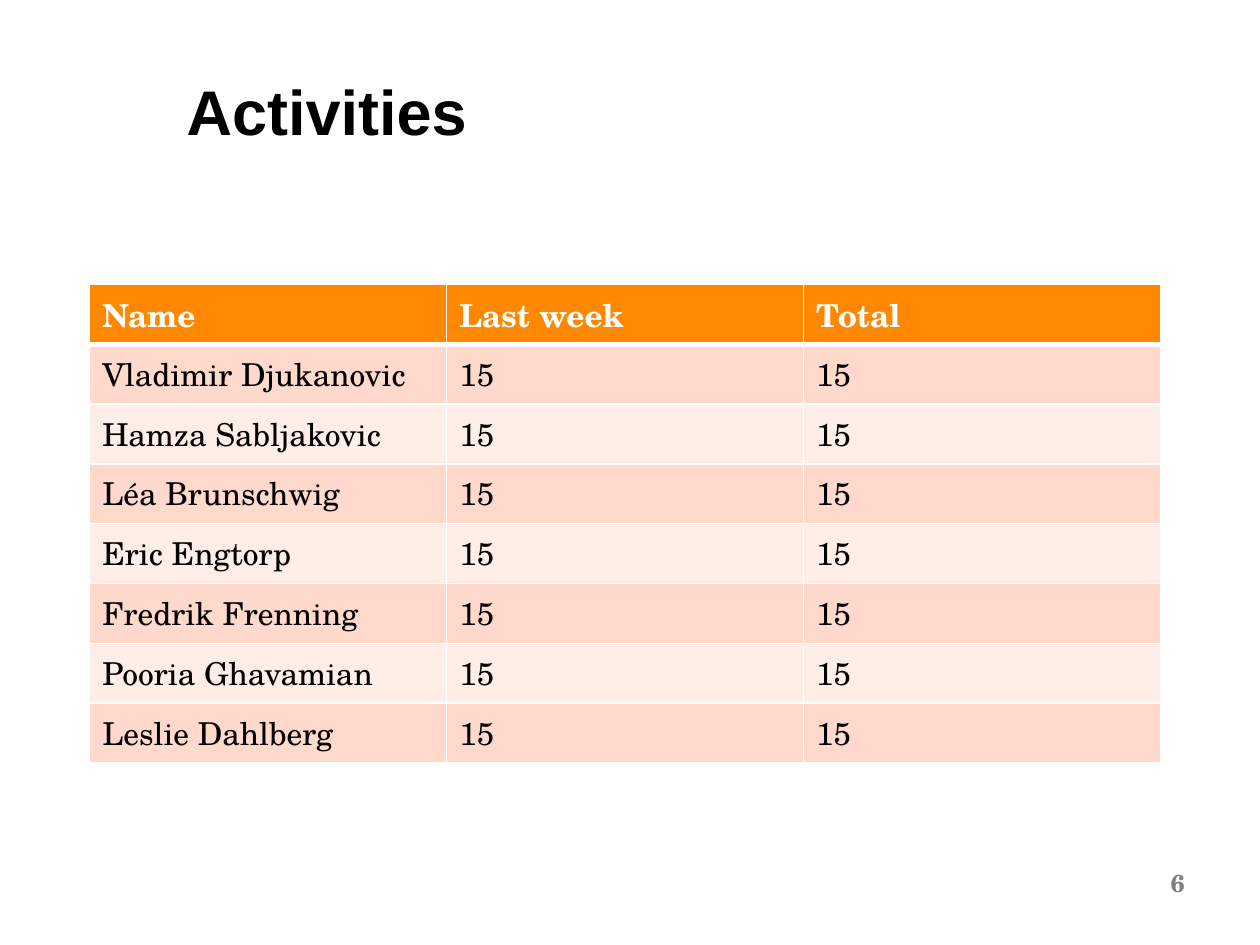
import pptx
import pptx.dml.color
import pptx.enum.text
import pptx.oxml
import pptx.oxml.ns
import pptx.util

Pt = pptx.util.Pt
PP_ALIGN = pptx.enum.text.PP_ALIGN
MSO_ANCHOR = pptx.enum.text.MSO_ANCHOR


def rgb(value):
    return pptx.dml.color.RGBColor.from_string(value)


class Deck:
    body_font = "TeX Gyre Schola"
    title_font = "Arial"
    black = "000000"
    white = "FFFFFF"
    grey = "808080"
    header = "FF8800"
    bands = ("FFDACC", "FFEDE7")

    def __init__(self, width, height):
        self.prs = pptx.Presentation()
        self.prs.slide_width = Pt(width)
        self.prs.slide_height = Pt(height)
        self.s = None

    def add_slide(self):
        self.s = self.prs.slides.add_slide(self.prs.slide_layouts[5])

    def set_text(self, tf, text, font, size, color, bold=False, align=PP_ALIGN.LEFT):
        p = tf.paragraphs[0]
        p.text = text
        p.alignment = align
        p.font.name = font
        p.font.size = Pt(size)
        p.font.bold = bold
        p.font.color.rgb = rgb(color)
        return p

    def title(self, text, left, top, width, height):
        sp = self.s.shapes.title
        sp.left, sp.top, sp.width, sp.height = map(Pt, (left, top, width, height))
        tf = sp.text_frame
        tf.vertical_anchor = MSO_ANCHOR.TOP
        tf.auto_size = pptx.enum.text.MSO_AUTO_SIZE.NONE
        p = self.set_text(tf, text, self.title_font, 36, self.black, True)
        p.line_spacing = Pt(40)

    def page_number(self, text, left, top, width, height):
        sp = self.s.shapes.add_textbox(*map(Pt, (left, top, width, height)))
        tf = sp.text_frame
        tf.word_wrap = True
        tf.vertical_anchor = MSO_ANCHOR.MIDDLE
        self.set_text(tf, text, self.body_font, 14, self.grey, True, PP_ALIGN.RIGHT)

    def border(self, cell, side, width):
        tc_pr = cell._tc.get_or_add_tcPr()
        tc_pr.append(pptx.oxml.parse_xml(
            f'<a:{side} {pptx.oxml.ns.nsdecls("a")} w="{Pt(width)}">'
            f'<a:solidFill><a:srgbClr val="{self.white}"/></a:solidFill>'
            f'</a:{side}>'))

    def table(self, rows, left, top, width, row_height):
        columns = len(rows[0])
        frame = self.s.shapes.add_table(
            len(rows), columns, Pt(left), Pt(top), Pt(width), Pt(row_height * len(rows)))
        table = frame.table
        for column in table.columns:
            column.width = Pt(width / columns)
        for i, values in enumerate(rows):
            table.rows[i].height = Pt(row_height)
            is_header = i == 0
            fill = self.header if is_header else self.bands[(i - 1) % 2]
            color = self.white if is_header else self.black
            widths = {"lnL": 1, "lnR": 1, "lnT": 3 if i == 1 else 1, "lnB": 3 if is_header else 1}
            for j, value in enumerate(values):
                cell = table.cell(i, j)
                for side, line_width in widths.items():
                    self.border(cell, side, line_width)
                cell.fill.solid()
                cell.fill.fore_color.rgb = rgb(fill)
                self.set_text(cell.text_frame, value, self.body_font, 18, color, is_header)


names = (
    "Vladimir Djukanovic",
    "Hamza Sabljakovic",
    "Léa Brunschwig",
    "Eric Engtorp",
    "Fredrik Frenning",
    "Pooria Ghavamian",
    "Leslie Dahlberg",
)

deck = Deck(720, 540)
deck.add_slide()
deck.title("Activities", 99.5, 41, 516, 101)
deck.page_number("6", 620.5, 494.5, 63.5, 19.5)
deck.table([("Name", "Last week", "Total")] + [(name, "15", "15") for name in names],
           51.25, 162.5, 612, 34.2)
deck.prs.save("out.pptx")
